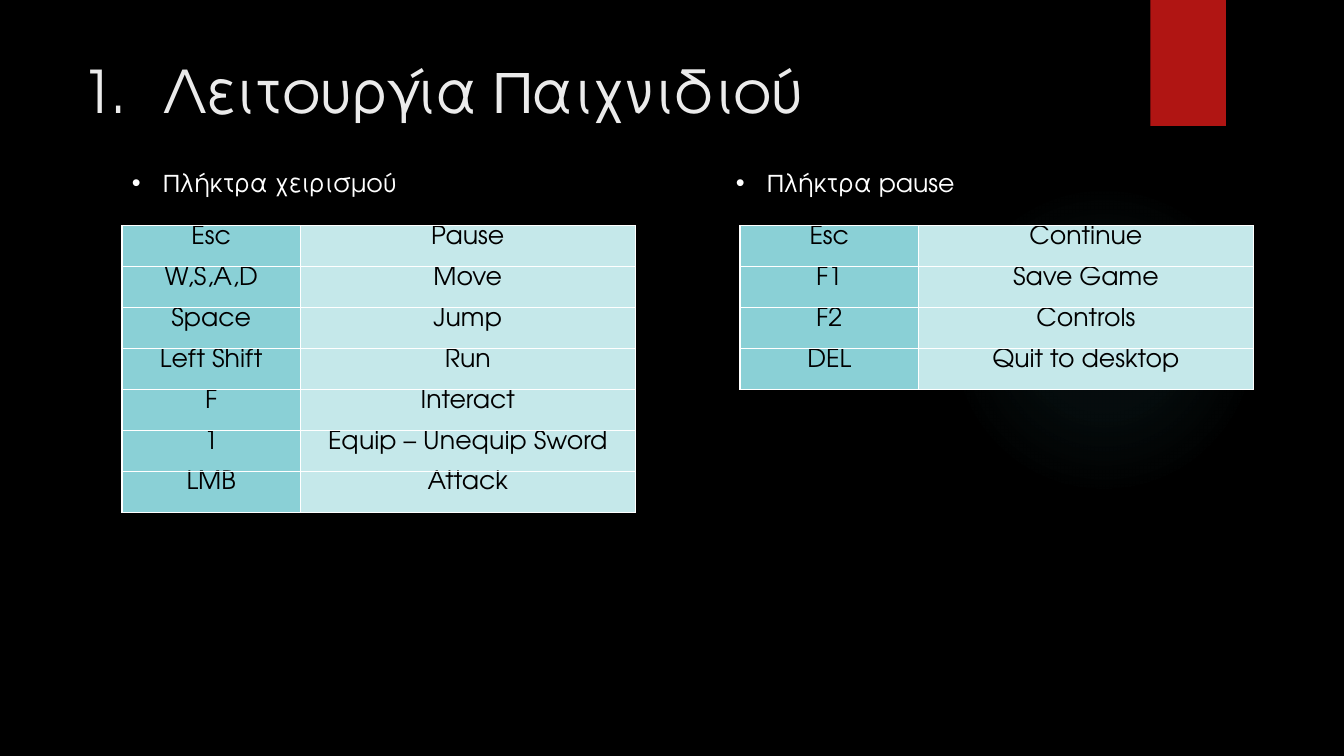
import lxml.etree
import pptx
import pptx.dml.color
import pptx.enum.shapes
import pptx.enum.text
import pptx.oxml
import pptx.oxml.ns
import pptx.util

Inches = pptx.util.Inches

# Content
TITLE = "Λειτουργία Παιχνιδιού"
KEY_GROUPS = [
    {
        "heading": "Πλήκτρα χειρισμού", "heading_left": 1.21, "table_left": 1.21,
        "keys": [
            ("Esc", "Pause"),
            ("W,S,A,D", "Move"),
            ("Space", "Jump"),
            ("Left Shift", "Run"),
            ("F", "Interact"),
            ("1", "Equip – Unequip Sword"),
            ("LMB", "Attack"),
        ],
    },
    {
        "heading": "Πλήκτρα pause", "heading_left": 7.2, "table_left": 7.34,
        "keys": [
            ("Esc", "Continue"),
            ("F1", "Save Game"),
            ("F2", "Controls"),
            ("DEL", "Quit to desktop"),
        ],
    },
]

# Theme and layout
THEME = {
    "font": "TeX Gyre Adventor",
    "title_size": 42, "body_size": 18,
    "background": "000000", "title": "EBEBEB", "heading": "FFFFFF",
    "ribbon": "B01513", "glow": "50B9C1",
    "cell_text": "000000", "cell_fills": ("8AD0D6", "C5E8EA"), "border": "FFFFFF",
}
GLOW_STOPS = ((0, 7), (36, 6), (69, 0))  # position %, opacity %
COLUMN_WIDTHS = (1.77, 3.32)
ROW_HEIGHT = 0.406
TABLE_TOP = 2.24
NAMESPACE = 'xmlns:a="http://schemas.openxmlformats.org/drawingml/2006/main"'


def color(name):
    return pptx.dml.color.RGBColor.from_string(name)


def add_run(paragraph, text, size, text_color):
    run = paragraph.add_run()
    run.text = text
    run.font.name = THEME["font"]
    run.font.size = pptx.util.Pt(size)
    run.font.color.rgb = color(text_color)


def add_listed_text(slide, box, text, size, text_color, indent, marker, anchor):
    """Text box with one bulleted or numbered paragraph."""
    frame = slide.shapes.add_textbox(*map(Inches, box)).text_frame
    frame.word_wrap = True
    frame.vertical_anchor = anchor
    paragraph = frame.paragraphs[0]
    properties = paragraph._p.get_or_add_pPr()
    properties.set("marL", str(Inches(indent)))
    properties.set("indent", str(-Inches(indent)))
    tag, attribute, value = marker
    if tag == "a:buChar":
        bullet_font = lxml.etree.SubElement(properties, pptx.oxml.ns.qn("a:buFont"))
        bullet_font.set("typeface", "Arial")
    lxml.etree.SubElement(properties, pptx.oxml.ns.qn(tag)).set(attribute, value)
    add_run(paragraph, text, size, text_color)


def add_plain_shape(slide, kind, box):
    shape = slide.shapes.add_shape(kind, *map(Inches, box))
    shape.shadow.inherit = False
    shape.line.fill.background()
    return shape


def add_glow(slide):
    shape = add_plain_shape(slide, pptx.enum.shapes.MSO_SHAPE.OVAL, (9.41, 1.83, 3.08, 3.08))
    shape.fill.background()
    stops = "".join(
        f'<a:gs pos="{position * 1000}"><a:srgbClr val="{THEME["glow"]}">'
        f'<a:alpha val="{opacity * 1000}"/></a:srgbClr></a:gs>'
        for position, opacity in GLOW_STOPS
    )
    gradient = pptx.oxml.parse_xml(
        f'<a:gradFill {NAMESPACE}><a:gsLst>{stops}</a:gsLst><a:path path="circle">'
        '<a:fillToRect l="50000" t="50000" r="50000" b="50000"/></a:path></a:gradFill>'
    )
    properties = shape._element.spPr
    properties.replace(properties.find(pptx.oxml.ns.qn("a:noFill")), gradient)


def set_borders(cell):
    properties = cell._tc.get_or_add_tcPr()
    for index, side in enumerate("LRTB"):
        properties.insert(index, pptx.oxml.parse_xml(
            f'<a:ln{side} {NAMESPACE} w="{pptx.util.Pt(1)}"><a:solidFill>'
            f'<a:srgbClr val="{THEME["border"]}"/></a:solidFill></a:ln{side}>'
        ))


def add_key_table(slide, left, keys):
    table = slide.shapes.add_table(
        len(keys), len(COLUMN_WIDTHS), Inches(left), Inches(TABLE_TOP),
        Inches(sum(COLUMN_WIDTHS)), Inches(ROW_HEIGHT * len(keys)),
    ).table
    table.first_row = table.horz_banding = False
    for column, width in zip(table.columns, COLUMN_WIDTHS):
        column.width = Inches(width)
    for row, texts in zip(table.rows, keys):
        row.height = Inches(ROW_HEIGHT)
        for cell, text, fill in zip(row.cells, texts, THEME["cell_fills"]):
            cell.fill.solid()
            cell.fill.fore_color.rgb = color(fill)
            cell.margin_top = cell.margin_bottom = 0
            set_borders(cell)
            paragraph = cell.text_frame.paragraphs[0]
            paragraph.alignment = pptx.enum.text.PP_ALIGN.CENTER
            add_run(paragraph, text, THEME["body_size"], THEME["cell_text"])


def main():
    presentation = pptx.Presentation()
    presentation.slide_width = Inches(13.33)
    presentation.slide_height = Inches(7.5)
    slide = presentation.slides.add_slide(presentation.slide_layouts[6])
    anchors = pptx.enum.text.MSO_ANCHOR

    # Backdrop
    slide.background.fill.solid()
    slide.background.fill.fore_color.rgb = color(THEME["background"])
    add_glow(slide)
    ribbon = add_plain_shape(slide, pptx.enum.shapes.MSO_SHAPE.RECTANGLE, (11.41, 0, 0.75, 1.25))
    ribbon.fill.solid()
    ribbon.fill.fore_color.rgb = color(THEME["ribbon"])

    # Title
    add_listed_text(slide, (0.71, 0.5, 10.29, 0.78), TITLE, THEME["title_size"], THEME["title"],
                    0.81, ("a:buAutoNum", "type", "arabicPeriod"), anchors.MIDDLE)

    # Headings with their key tables
    for group in KEY_GROUPS:
        add_listed_text(slide, (group["heading_left"], 1.61, 2.88, 0.4), group["heading"],
                        THEME["body_size"], THEME["heading"], 0.31,
                        ("a:buChar", "char", "•"), anchors.TOP)
        add_key_table(slide, group["table_left"], group["keys"])

    presentation.save("out.pptx")


if __name__ == "__main__":
    main()
